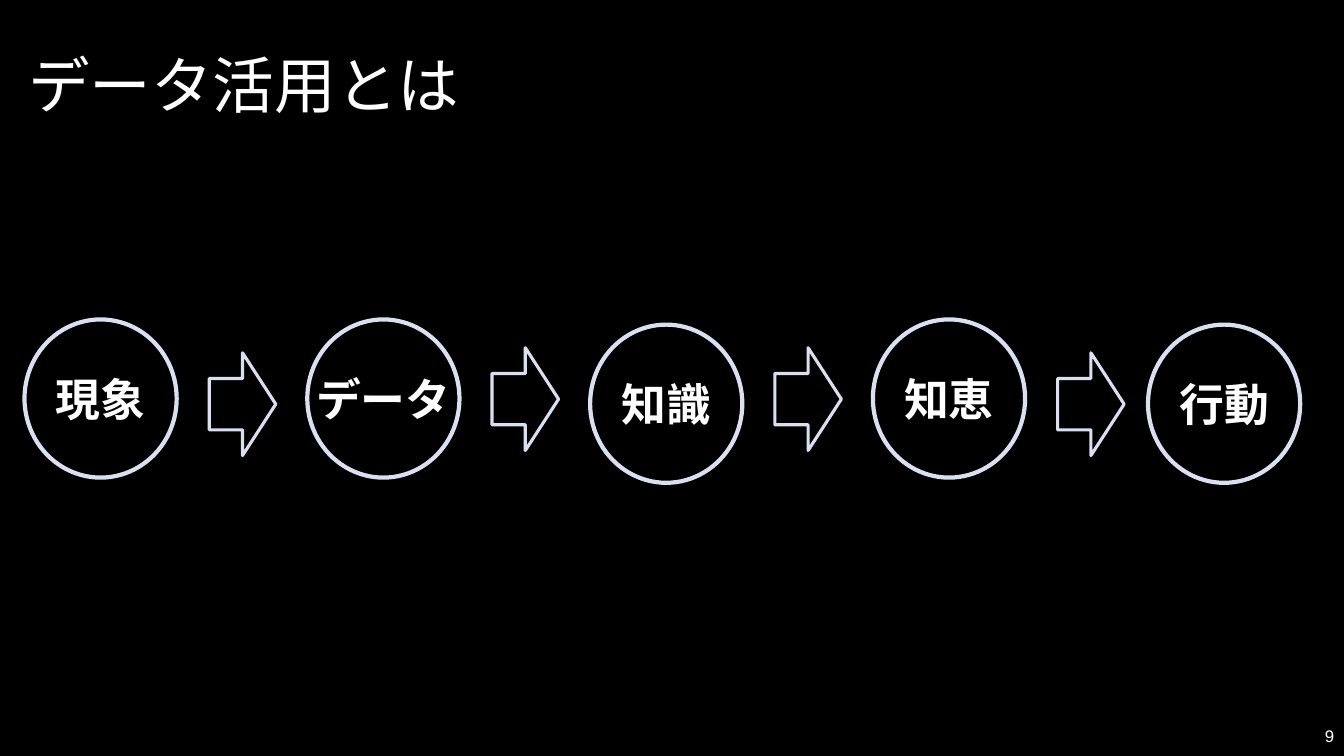
from pptx import Presentation
from pptx.dml.color import RGBColor
from pptx.enum.shapes import MSO_SHAPE
from pptx.enum.text import MSO_ANCHOR, PP_ALIGN
from pptx.util import Pt

TITLE = "データ活用とは"
PAGE_NUMBER = "9"
# label, left and top of its circle
STEPS = [
    ("現象", 17.5, 228.2),
    ("データ", 219.5, 228.2),
    ("知識", 421.5, 231.9),
    ("知恵", 623.5, 228.2),
    ("行動", 820, 231.9),
]
ARROW_TOPS = [252, 248.4, 248.4, 252]

THEME = {
    "font": "Arial",
    "background": RGBColor(0x00, 0x00, 0x00),
    "text": RGBColor(0xFF, 0xFF, 0xFF),
    "outline": RGBColor(0xDA, 0xE0, 0xEF),
    "title_size": 44,
    "label_size": 32,
    "number_size": 12,
}

CIRCLE_W, CIRCLE_H = 108.7, 113
LABEL_W, LABEL_H = 118, 46
LABEL_DROP = 33.8
ARROW_W, ARROW_H = 47.5, 73.4
ARROW_OFFSET = 132


def add_text(s, text, box, size, align, anchor=MSO_ANCHOR.MIDDLE, bold=False):
    tf = s.shapes.add_textbox(*map(Pt, box)).text_frame
    tf.word_wrap = True
    tf.vertical_anchor = anchor
    p = tf.paragraphs[0]
    p.text = text
    p.alignment = align
    p.font.name = THEME["font"]
    p.font.size = Pt(size)
    p.font.bold = bold
    p.font.color.rgb = THEME["text"]
    return p


def add_outline(s, kind, box, width):
    """Add an unfilled preset shape."""
    sp = s.shapes.add_shape(kind, *map(Pt, box))
    sp.shadow.inherit = False
    sp.fill.background()
    sp.line.color.rgb = THEME["outline"]
    sp.line.width = Pt(width)


def main():
    prs = Presentation()
    prs.slide_width, prs.slide_height = Pt(960), Pt(540)
    s = prs.slides.add_slide(prs.slide_layouts[6])
    s.background.fill.solid()
    s.background.fill.fore_color.rgb = THEME["background"]

    title = add_text(s, TITLE, (13, 10.8, 939, 104.4), THEME["title_size"], PP_ALIGN.LEFT)
    title.line_spacing = 0.9
    add_text(s, PAGE_NUMBER, (744, 511.2, 216, 28.8), THEME["number_size"], PP_ALIGN.RIGHT)

    for label, left, top in STEPS:
        add_outline(s, MSO_SHAPE.OVAL, (left, top, CIRCLE_W, CIRCLE_H), 3)
        label_left = left + (CIRCLE_W - LABEL_W) / 2
        add_text(s, label, (label_left, top + LABEL_DROP, LABEL_W, LABEL_H),
                 THEME["label_size"], PP_ALIGN.CENTER, MSO_ANCHOR.TOP, bold=True)

    for (_, left, _), top in zip(STEPS, ARROW_TOPS):
        add_outline(s, MSO_SHAPE.RIGHT_ARROW, (left + ARROW_OFFSET, top, ARROW_W, ARROW_H), 2.25)

    prs.save("out.pptx")


if __name__ == "__main__":
    main()
